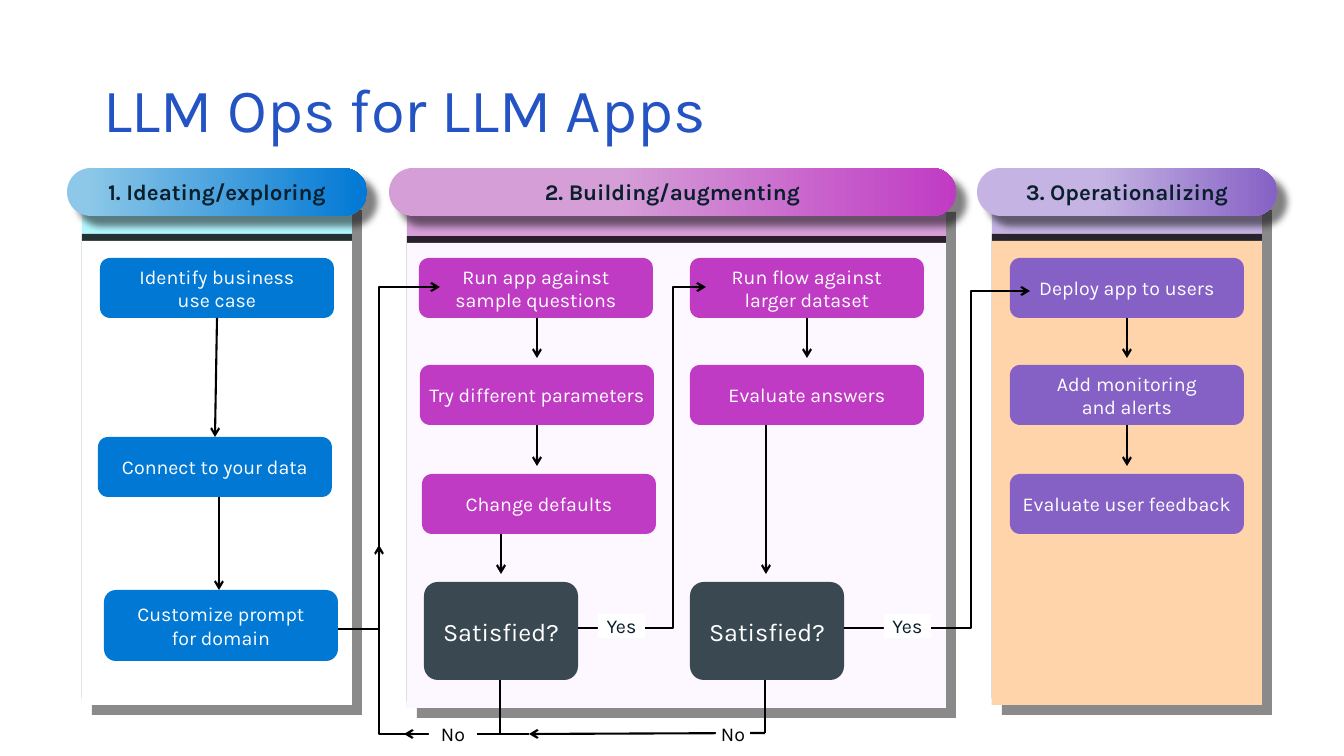
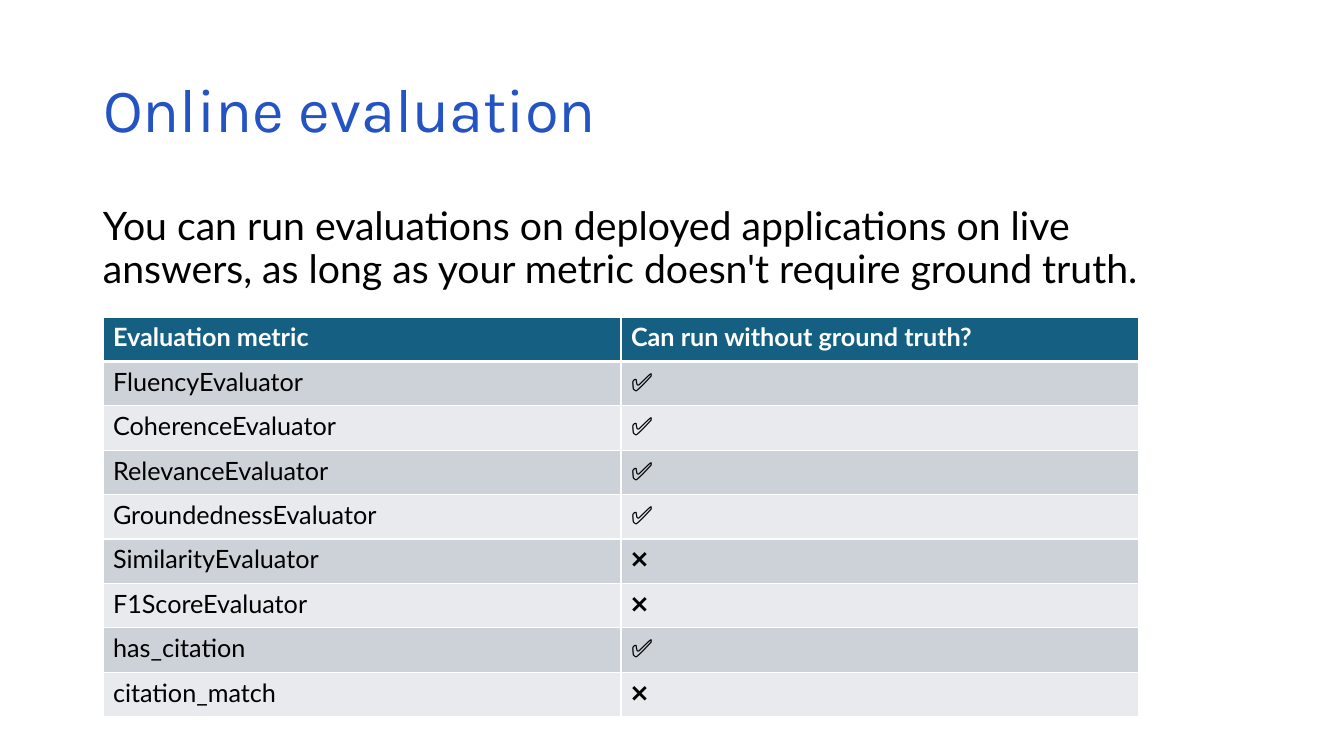
from lxml import etree
from pptx import Presentation
from pptx.dml.color import RGBColor
from pptx.enum.shapes import MSO_CONNECTOR, MSO_SHAPE
from pptx.enum.text import MSO_ANCHOR, MSO_AUTO_SIZE, PP_ALIGN
from pptx.oxml.ns import qn
from pptx.util import Pt

PX = 914400 / 100.8
RECT, ROUNDED = MSO_SHAPE.RECTANGLE, MSO_SHAPE.ROUNDED_RECTANGLE
STRAIGHT = MSO_CONNECTOR.STRAIGHT
LEFT, CENTER = PP_ALIGN.LEFT, PP_ALIGN.CENTER
MIDDLE = MSO_ANCHOR.MIDDLE
NO_FIT = MSO_AUTO_SIZE.NONE
COLORS = {name: RGBColor.from_string(value) for name, value in {
    "title": "2454C3", "ink": "091F2C", "black": "000000", "white": "FFFFFF",
    "sky": "8DC8E8", "blue": "0078D4", "aqua": "B4F8FF",
    "orchid": "D59ED7", "magenta": "C03BC4", "blush": "FDF7FF",
    "lilac": "C5B4E3", "purple": "8661C5", "peach": "FFD4AA",
    "slate": "3A4852", "teal": "156082", "row_dark": "CCD2D8", "row_light": "E8EAED",
}.items()}
TITLE_FRAME = {"vertical_anchor": MIDDLE, "word_wrap": True, "auto_size": NO_FIT}
BOX_FRAME = {"vertical_anchor": MIDDLE, "word_wrap": True, "margin_left": 0,
             "margin_right": 0, "margin_top": 0, "margin_bottom": 0}

# Shadows: blur and distance in points, direction in degrees, opacity in percent
PANEL_SHADOW = (0, 10, 45, 45)
EDGE_SHADOW = (0, 5, 270, 80)
HEADER_SHADOW = (5, 10, 45, 50)


def format_text(para, size, color, name="Karla", bold=False, align=LEFT):
    para.alignment = align
    values = {"size": Pt(size), "name": name, "bold": bold}
    for key, value in values.items():
        setattr(para.font, key, value)
    para.font.color.rgb = COLORS[color]


def add_box(page, kind, place, fill, text="", size=14, color="white", bold=False,
            radius=None, shadow=None):
    box = page.shapes.add_shape(kind, *[round(length * PX) for length in place])
    box.fill.solid()
    box.fill.fore_color.rgb = COLORS[fill]
    box.line.fill.background()
    box.shadow.inherit = False
    if radius is not None:
        box.adjustments[0] = radius
    if shadow:
        blur, distance, direction, opacity = shadow
        effects = box._element.spPr.find(qn("a:effectLst"))
        outer = etree.SubElement(effects, qn("a:outerShdw"), blurRad=str(Pt(blur)),
                                 dist=str(Pt(distance)), dir=str(direction * 60000),
                                 algn="tl", rotWithShape="0")
        black = etree.SubElement(outer, qn("a:srgbClr"), val="000000")
        etree.SubElement(black, qn("a:alpha"), val=str(opacity * 1000))
    if text:
        for key, value in BOX_FRAME.items():
            setattr(box.text_frame, key, value)
        para = box.text_frame.paragraphs[0]
        para.text = text
        format_text(para, size, color, bold=bold, align=CENTER)
    return box


deck = Presentation()
deck.slide_width, deck.slide_height = round(1344 * PX), round(756 * PX)

# Both pages with their titles
pages = []
for title_text in ("LLM Ops for LLM Apps", "Online evaluation"):
    page = deck.slides.add_slide(deck.slide_layouts[5])
    title = page.shapes.title
    title_place = {"left": 93, "top": 40, "width": 1159, "height": 146}
    for key, value in title_place.items():
        setattr(title, key, round(value * PX))
    for key, value in TITLE_FRAME.items():
        setattr(title.text_frame, key, value)
    para = title.text_frame.paragraphs[0]
    para.text = title_text
    para.line_spacing = 0.9
    format_text(para, 44, "title")
    pages.append(page)
flow_page, metric_page = pages

# Phase panels: left, top, width, bottom, band and body colours
PANELS = [
    (82, 200, 270, 705, "aqua", "white"),
    (407, 202, 539, 708, "orchid", "blush"),
    (992, 200, 270, 705, "lilac", "peach"),
]
for left, top, width, bottom, band, body in PANELS:
    add_box(flow_page, RECT, (left, top, width, bottom - top), band, shadow=PANEL_SHADOW)
    body_top = top + 41
    add_box(flow_page, RECT, (left, body_top, width, bottom - body_top), body,
            shadow=EDGE_SHADOW)

# Phase headers: left, width, text, gradient start, first and last colour
HEADERS = [
    (67, 300, "1. Ideating/exploring", 0.06, "sky", "blue"),
    (389, 567, "2. Building/augmenting", 0.4, "orchid", "magenta"),
    (977, 300, "3. Operationalizing", 0.4, "lilac", "purple"),
]
for left, width, text, start, first, last in HEADERS:
    header = add_box(flow_page, ROUNDED, (left, 168, width, 48), first, text, 16, "ink",
                     bold=True, radius=0.5, shadow=HEADER_SHADOW)
    header.fill.gradient()
    header.fill.gradient_angle = 0
    stops = header.fill.gradient_stops
    for stop, position, color in zip(stops, (start, 1), (first, last)):
        stop.position = position
        stop.color.rgb = COLORS[color]

# Steps: left, top, height, colour, text
STEPS = [
    (100, 258, 60, "blue", "Identify business\vuse case"),
    (98, 437, 60, "blue", "Connect to your data"),
    (104, 590, 71, "blue", "Customize prompt\vfor domain"),
    (419, 258, 60, "magenta", "Run app against\vsample questions"),
    (420, 365, 60, "magenta", "Try different parameters"),
    (422, 474, 60, "magenta", "Change defaults"),
    (690, 258, 60, "magenta", "Run flow against\vlarger dataset"),
    (690, 365, 60, "magenta", "Evaluate answers"),
    (1010, 258, 60, "purple", "Deploy app to users"),
    (1010, 365, 60, "purple", "Add monitoring\vand alerts"),
    (1010, 474, 60, "purple", "Evaluate user feedback"),
]
for left, top, height, color, text in STEPS:
    add_box(flow_page, ROUNDED, (left, top, 234, height), color, text)
for left in (424, 690):
    add_box(flow_page, ROUNDED, (left, 582, 154, 98), "slate", "Satisfied?", 18, radius=0.14)

# Flow lines: corner points, arrowhead at the last one
FLOWS = [
    ([(217, 318), (215, 437)], True),
    ([(219, 497), (219, 590)], True),
    ([(537, 318), (537, 358)], True),
    ([(537, 425), (537, 466)], True),
    ([(501, 534), (501, 574)], True),
    ([(807, 318), (807, 358)], True),
    ([(766, 425), (766, 574)], True),
    ([(1127, 318), (1127, 358)], True),
    ([(1127, 425), (1127, 466)], True),
    ([(338, 629), (379, 629), (379, 287), (440, 287)], True),
    ([(578, 628), (607, 628)], False),
    ([(634, 628), (673, 628), (673, 287), (706, 287)], True),
    ([(844, 628), (884, 628)], False),
    ([(899, 628), (971, 628), (971, 291), (1030, 291)], True),
    ([(765, 680), (765, 733)], False),
    ([(765, 733), (529, 734)], True),
    ([(529, 734), (500, 734)], False),
    ([(500, 680), (500, 734), (379, 734), (379, 545)], True),
    ([(433, 734), (404, 734)], True),
]
for points, has_arrow in FLOWS:
    if len(points) == 2:
        ends = [round(length * PX) for point in points for length in point]
        flow = flow_page.shapes.add_connector(STRAIGHT, *ends)
        etree.SubElement(flow._element.spPr, qn("a:effectLst"))
    else:
        outline = flow_page.shapes.build_freeform(*points[0], scale=PX)
        outline.add_line_segments(points[1:], close=False)
        flow = outline.convert_to_shape()
        flow.fill.background()
        flow.shadow.inherit = False
    flow.line.color.rgb = COLORS["black"]
    flow.line.width = Pt(1.5)
    if has_arrow:
        stroke = flow._element.spPr.find(qn("a:ln"))
        etree.SubElement(stroke, qn("a:tailEnd"), type="arrow")

# Answers on the lines: left, top, width, text, colour
ANSWERS = [
    (598, 614, 47, "Yes", "ink"),
    (884, 614, 47, "Yes", "ink"),
    (429, 722, 48, "No", "black"),
    (716, 722, 34, "No", "black"),
]
for left, top, width, text, color in ANSWERS:
    add_box(flow_page, RECT, (left, top, width, 24), "white", text, color=color)

# Introduction to the metrics
intro_place = [round(length * PX) for length in (93, 202, 1107, 100)]
intro = metric_page.shapes.add_textbox(*intro_place)
intro.text_frame.word_wrap = True
para = intro.text_frame.paragraphs[0]
para.text = ("You can run evaluations on deployed applications on live answers, "
             "as long as your metric doesn't require ground truth.")
para.line_spacing = 0.9
format_text(para, 28, "black", "Lato")

# Metric table
METRICS = [
    ("Evaluation metric", "Can run without ground truth?"),
    ("FluencyEvaluator", "✅"),
    ("CoherenceEvaluator", "✅"),
    ("RelevanceEvaluator", "✅"),
    ("GroundednessEvaluator", "✅"),
    ("SimilarityEvaluator", "❌"),
    ("F1ScoreEvaluator", "❌"),
    ("has_citation", "✅"),
    ("citation_match", "❌"),
]
table_place = [round(length * PX) for length in (103, 317, 1036, 400)]
table = metric_page.shapes.add_table(len(METRICS), 2, *table_place).table
for row, values in enumerate(METRICS):
    is_header = row == 0
    fill = "teal" if is_header else "row_dark" if row % 2 else "row_light"
    borders = {"a:lnL": 1, "a:lnR": 1, "a:lnT": 3 if row == 1 else 1,
               "a:lnB": 3 if is_header else 1}
    for column, text in enumerate(values):
        cell = table.cell(row, column)
        properties = cell._tc.get_or_add_tcPr()
        for tag, width in borders.items():
            border = etree.SubElement(properties, qn(tag), w=str(Pt(width)))
            solid = etree.SubElement(border, qn("a:solidFill"))
            etree.SubElement(solid, qn("a:srgbClr"), val=str(COLORS["white"]))
        cell.fill.solid()
        cell.fill.fore_color.rgb = COLORS[fill]
        para = cell.text_frame.paragraphs[0]
        para.text = text
        format_text(para, 18, "white" if is_header else "black", "Lato", bold=is_header)

deck.save("out.pptx")
